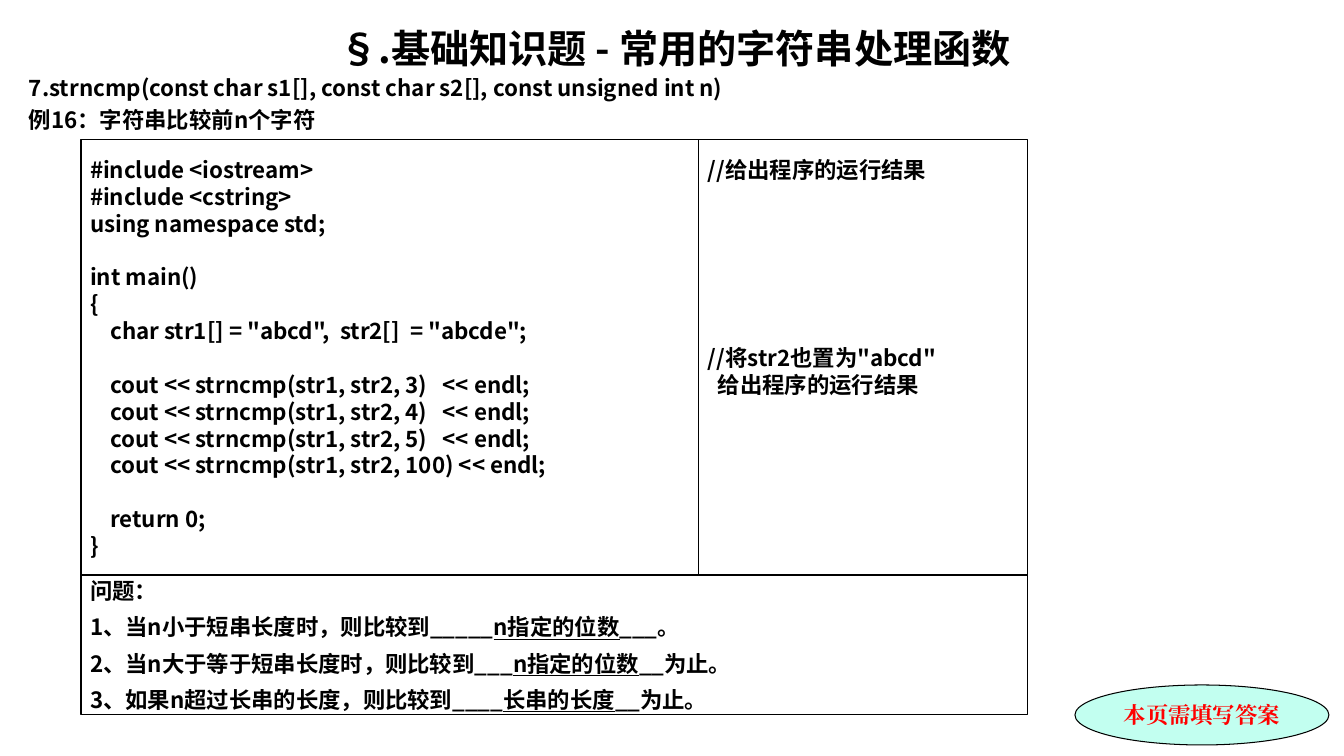
from dataclasses import dataclass

from lxml.etree import SubElement
from pptx import Presentation
from pptx.dml.color import RGBColor
from pptx.enum.shapes import MSO_SHAPE
from pptx.enum.text import MSO_ANCHOR, MSO_AUTO_SIZE, PP_ALIGN
from pptx.oxml.ns import qn
from pptx.util import Emu, Pt


@dataclass(frozen=True)
class Theme:
    ink: RGBColor = RGBColor(0, 0, 0)
    alert: RGBColor = RGBColor(0xFF, 0, 0)
    mint: RGBColor = RGBColor(0xC2, 0xFF, 0xF0)
    font: str = "Noto Sans CJK SC"
    badge_font: str = "Times New Roman"
    title_size: int = 28
    body_size: int = 16
    leading: float = 1.2
    border: float = 0.75

    @property
    def body_line(self):
        return self.body_size * self.leading


@dataclass
class Line:
    """One paragraph; each (text, underlined) pair becomes a run."""
    runs: list
    before: float = 0
    indent: int = 0


def px(length):
    return Emu(round(length * 914400 / 100.8))


class SlideBuilder:
    def __init__(self, slide, theme):
        self.slide = slide
        self.theme = theme

    def fill_text(self, frame, lines, size=None, font=None, color=None,
                  align=PP_ALIGN.LEFT, anchor=MSO_ANCHOR.TOP, top=0):
        size = size or self.theme.body_size
        font = font or self.theme.font
        frame.word_wrap = True
        frame.auto_size = MSO_AUTO_SIZE.NONE
        frame.vertical_anchor = anchor
        frame.margin_left = frame.margin_right = px(9)
        frame.margin_top, frame.margin_bottom = px(top), px(0)
        for index, line in enumerate(lines):
            paragraph = frame.add_paragraph() if index else frame.paragraphs[0]
            paragraph.alignment = align
            paragraph.line_spacing = Pt(size * self.theme.leading)
            paragraph.space_before = Pt(line.before)
            if line.indent:
                paragraph._p.get_or_add_pPr().set("marL", str(px(line.indent)))
            for text, underlined in line.runs:
                run = paragraph.add_run()
                run.text = text
                run.font.name = font
                run.font.size = Pt(size)
                run.font.bold = True
                run.font.underline = underlined
                run.font.color.rgb = color or self.theme.ink
                east_asian = SubElement(run._r.get_or_add_rPr(), qn("a:ea"))
                east_asian.set("typeface", font)

    def title(self, text, left, top, width, height):
        heading = self.slide.shapes.title
        heading.left, heading.top = px(left), px(top)
        heading.width, heading.height = px(width), px(height)
        self.fill_text(heading.text_frame, [Line([(text, False)])],
                       size=self.theme.title_size, align=PP_ALIGN.CENTER,
                       anchor=MSO_ANCHOR.MIDDLE)

    def text(self, lines, left, top, width, height):
        box = self.slide.shapes.add_textbox(
            px(left), px(top), px(width), px(height))
        self.fill_text(box.text_frame, lines)

    def panel(self, lines, left, top, width, height,
              kind=MSO_SHAPE.RECTANGLE, fill=None, inset=0, **style):
        shape = self.slide.shapes.add_shape(
            kind, px(left), px(top), px(width), px(height))
        shape.shadow.inherit = False
        if fill is None:
            shape.fill.background()
        else:
            shape.fill.solid()
            shape.fill.fore_color.rgb = fill
        shape.line.color.rgb = self.theme.ink
        shape.line.width = Pt(self.theme.border)
        self.fill_text(shape.text_frame, lines, top=inset, **style)


PROGRAM = '''#include <iostream>
#include <cstring>
using namespace std;

int main()
{
    char str1[] = "abcd",  str2[]  = "abcde";

    cout << strncmp(str1, str2, 3)   << endl;
    cout << strncmp(str1, str2, 4)   << endl;
    cout << strncmp(str1, str2, 5)   << endl;
    cout << strncmp(str1, str2, 100) << endl;

    return 0;
}'''

QUESTIONS = [
    ("1、当n小于短串长度时，则比较到_____", "n指定的位数", "___。"),
    ("2、当n大于等于短串长度时，则比较到___", "n指定的位数", "__为止。"),
    ("3、如果n超过长串的长度，则比较到____", "长串的长度", "__为止。"),
]


def code_lines(source, line_height):
    """Turn each empty source line into space before the next line."""
    lines, gap = [], 0
    for text in source.split("\n"):
        if text:
            lines.append(Line([(text, False)], before=gap))
            gap = 0
        else:
            gap += line_height
    return lines


def main():
    theme = Theme()
    deck = Presentation()
    deck.slide_width, deck.slide_height = px(1344), px(756)
    page = SlideBuilder(deck.slides.add_slide(deck.slide_layouts[5]), theme)

    # Heading and function signature
    page.title("§.基础知识题 - 常用的字符串处理函数", 20, 18, 1310, 60)
    page.text([
        Line([("7.strncmp(const char s1[], const char s2[], const unsigned int n)", False)]),
        Line([("例16：字符串比较前n个字符", False)], before=3.6),
    ], 20, 74, 1310, 62)

    # Panel grid: program and tasks above, questions below
    left, top, program_width, tasks_width = 81, 139, 618, 329
    upper_height, lower_height, text_top = 436, 140, 17

    # Program
    page.panel(code_lines(PROGRAM, theme.body_line),
               left, top, program_width, upper_height, inset=text_top)

    # Questions with underlined answers
    questions = [Line([("问题：", False)])]
    for lead, answer, tail in QUESTIONS:
        questions.append(Line([(lead, False), (answer, True), (tail, False)], before=6.7))
    page.panel(questions, left, top + upper_height, program_width + tasks_width,
               lower_height, anchor=MSO_ANCHOR.MIDDLE)

    # Tasks beside the program, the second one level with its eighth line
    page.panel([
        Line([("//给出程序的运行结果", False)]),
        Line([('//将str2也置为"abcd"', False)], before=6 * theme.body_line),
        Line([("给出程序的运行结果", False)], indent=10),
    ], left + program_width, top, tasks_width, upper_height, inset=text_top)

    # Reminder badge
    page.panel([Line([("本页需填写答案", False)])], 1075, 685, 254, 60,
               kind=MSO_SHAPE.OVAL, fill=theme.mint, font=theme.badge_font,
               color=theme.alert, align=PP_ALIGN.CENTER, anchor=MSO_ANCHOR.MIDDLE)

    deck.save("out.pptx")


if __name__ == "__main__":
    main()
